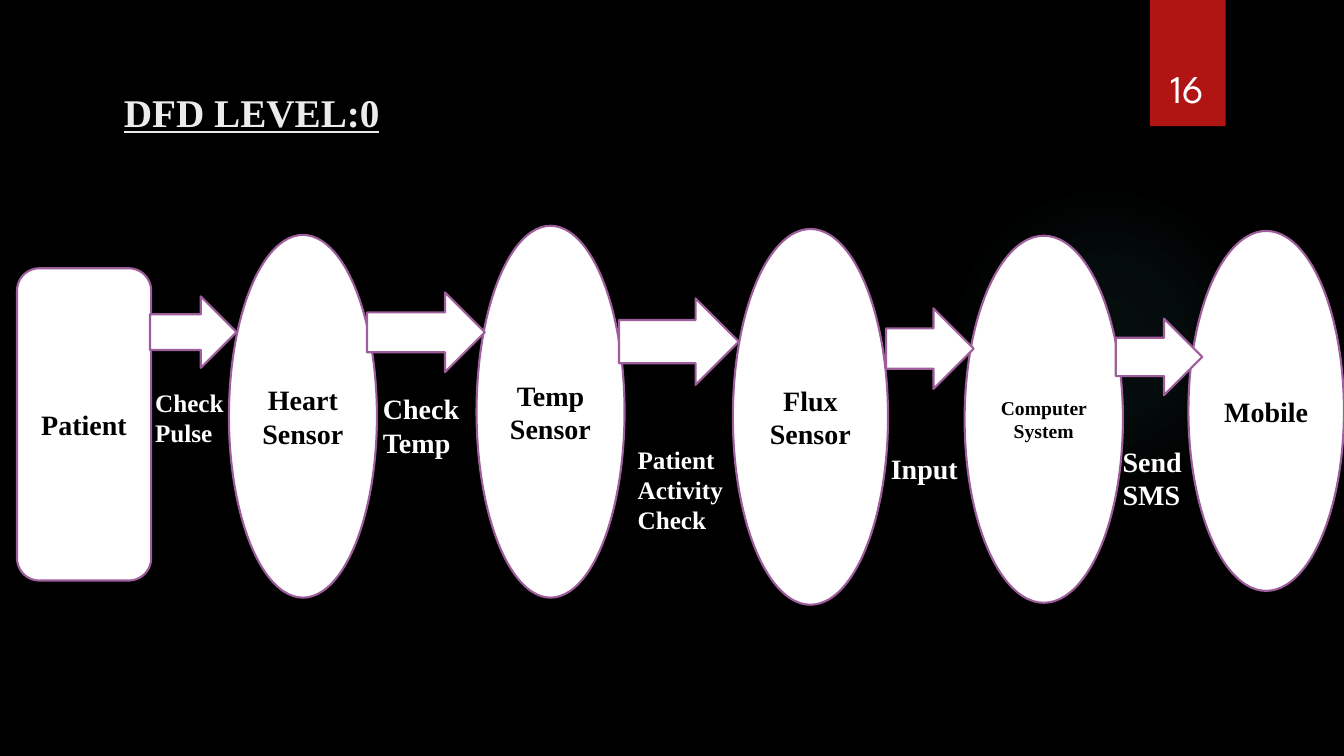
from lxml import etree
from pptx import Presentation
from pptx.dml.color import RGBColor
from pptx.enum import shapes, text
from pptx.oxml import ns
from pptx.util import Cm, Pt

BLACK = RGBColor(0x00, 0x00, 0x00)
WHITE = RGBColor(0xFF, 0xFF, 0xFF)
PALE = RGBColor(0xEB, 0xEB, 0xEB)
RED = RGBColor(0xB0, 0x15, 0x13)
PURPLE = RGBColor(0x9E, 0x5E, 0x9B)
TEAL = RGBColor(0x50, 0xB9, 0xC1)

RECTANGLE = shapes.MSO_SHAPE.RECTANGLE
ROUNDED = shapes.MSO_SHAPE.ROUNDED_RECTANGLE
OVAL = shapes.MSO_SHAPE.OVAL
ARROW = shapes.MSO_SHAPE.RIGHT_ARROW

# Boxes are left, top, width, height in centimetres.
TITLE = ("DFD LEVEL:0", (2.87, 2.11, 26.11, 2.77))
PAGE_NUMBER = ("16", (28.75, 0.81, 2.34, 2.13))
BANNER_BOX = (28.98, 0, 1.91, 3.18)
GLOW_BOX = (23.9, 4.65, 7.82, 7.82)
GLOW_STOPS = [(0, 7), (36, 6), (69, 0)]  # position and opacity, percent

NODES = [
    ("Patient", ROUNDED, 20, (0.43, 6.76, 3.38, 7.87)),
    ("Heart Sensor", OVAL, 20, (5.77, 5.92, 3.73, 9.14)),
    ("Temp Sensor", OVAL, 20, (12.01, 5.69, 3.73, 9.37)),
    ("Flux Sensor", OVAL, 20, (18.47, 5.77, 3.91, 9.47)),
    ("Computer System", OVAL, 14, (24.31, 5.94, 3.99, 9.25)),
    ("Mobile", OVAL, 20, (29.95, 5.82, 3.92, 9.07)),
]
# Label, label size, arrow box, label box
FLOWS = [
    ("Check Pulse", 18, (3.78, 7.47, 2.18, 1.8), (3.66, 9.63, 3.38, 1.8)),
    ("Check Temp", 20, (9.25, 7.37, 2.97, 2.01), (9.4, 9.75, 2.69, 1.96)),
    ("Patient Activity Check", 18, (15.6, 7.52, 3.02, 2.18), (15.82, 11.07, 3.33, 2.57)),
    ("Input", 20, (22.33, 7.77, 2.21, 2.03), (22.2, 11.25, 2.54, 1.12)),
    ("Send SMS", 20, (28.12, 8.03, 2.18, 1.93), (28.04, 11.07, 2.79, 1.96)),
]


def lengths(box):
    return [Cm(value) for value in box]


def write(shape, words, size, color=WHITE, font="Times New Roman", bold=True,
          underline=False, align=text.PP_ALIGN.LEFT, anchor=text.MSO_ANCHOR.TOP):
    frame = shape.text_frame
    frame.word_wrap = True
    frame.vertical_anchor = anchor
    paragraph = frame.paragraphs[0]
    paragraph.alignment = align
    run = paragraph.add_run()
    run.text = words
    run.font.name = font
    run.font.size = Pt(size)
    run.font.bold = bold
    run.font.underline = underline
    run.font.color.rgb = color


def add_figure(slide, kind, box, fill=WHITE, line=PURPLE):
    shape = slide.shapes.add_shape(kind, *lengths(box))
    shape.shadow.inherit = False
    shape.fill.solid()
    shape.fill.fore_color.rgb = fill
    if line is None:
        shape.line.fill.background()
    else:
        shape.line.color.rgb = line
        shape.line.width = Pt(1.5)
    return shape


def add_glow(slide):
    """Add the faint circle that fades out from its centre."""
    glow = add_figure(slide, OVAL, GLOW_BOX, TEAL, None)
    properties = glow.fill._xPr
    solid = properties.find(ns.qn("a:solidFill"))
    gradient = etree.Element(ns.qn("a:gradFill"))
    stops = etree.SubElement(gradient, ns.qn("a:gsLst"))
    for position, opacity in GLOW_STOPS:
        stop = etree.SubElement(stops, ns.qn("a:gs"), pos=str(position * 1000))
        color = etree.SubElement(stop, ns.qn("a:srgbClr"), val=str(TEAL))
        etree.SubElement(color, ns.qn("a:alpha"), val=str(opacity * 1000))
    circle = etree.SubElement(gradient, ns.qn("a:path"), path="circle")
    etree.SubElement(circle, ns.qn("a:fillToRect"),
                     {side: "50000" for side in "ltrb"})
    properties.replace(solid, gradient)


def main():
    presentation = Presentation()
    presentation.slide_width = Cm(33.87)
    presentation.slide_height = Cm(19.05)
    slide = presentation.slides.add_slide(presentation.slide_layouts[5])
    slide.background.fill.solid()
    slide.background.fill.fore_color.rgb = BLACK

    add_glow(slide)
    add_figure(slide, RECTANGLE, BANNER_BOX, RED, None)

    words, box = TITLE
    title = slide.shapes.title
    title.left, title.top, title.width, title.height = lengths(box)
    write(title, words, 28, PALE, underline=True)

    words, box = PAGE_NUMBER
    number = slide.shapes.add_textbox(*lengths(box))
    write(number, words, 28, font="League Spartan", bold=False,
          align=text.PP_ALIGN.CENTER, anchor=text.MSO_ANCHOR.BOTTOM)

    for words, kind, size, box in NODES:
        node = add_figure(slide, kind, box)
        write(node, words, size, BLACK, align=text.PP_ALIGN.CENTER,
              anchor=text.MSO_ANCHOR.MIDDLE)

    for words, size, arrow_box, label_box in FLOWS:
        add_figure(slide, ARROW, arrow_box)
        label = slide.shapes.add_textbox(*lengths(label_box))
        write(label, words, size)

    presentation.save("out.pptx")


if __name__ == "__main__":
    main()
